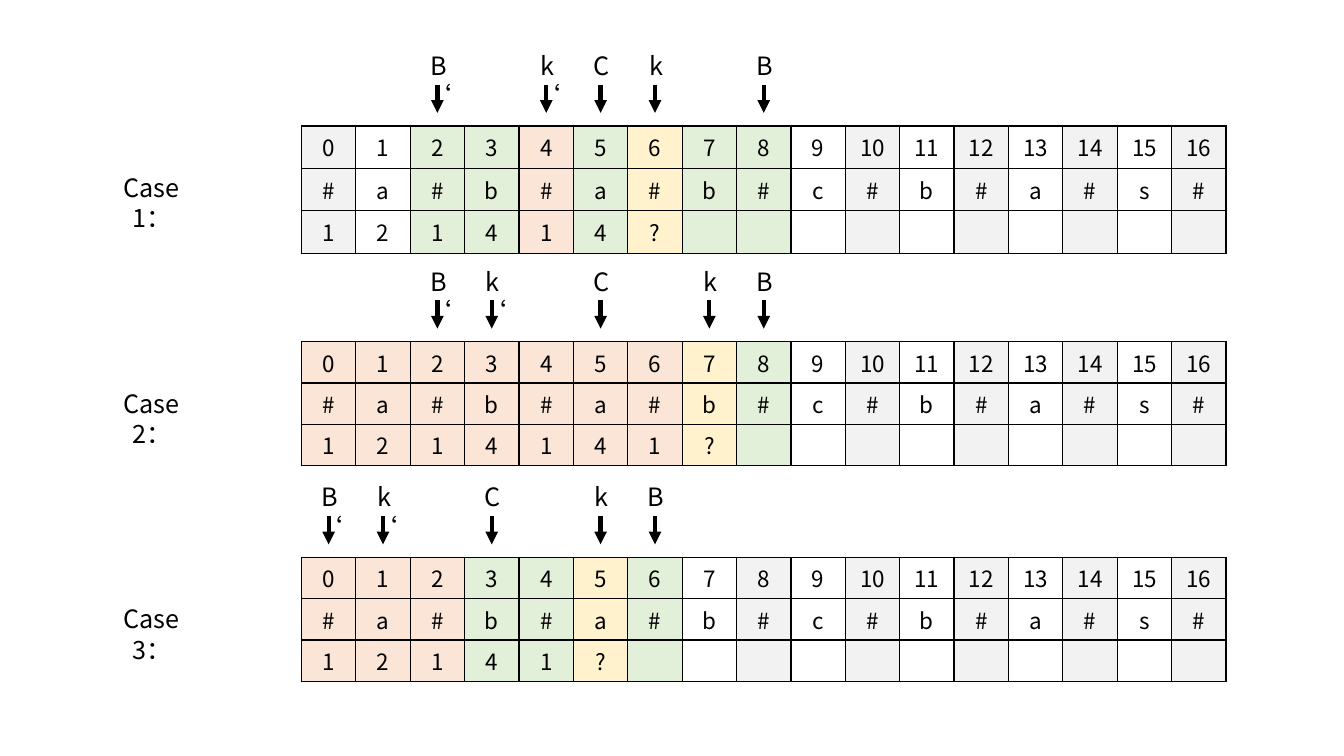
from lxml.etree import SubElement
from pptx import Presentation
from pptx.dml.color import RGBColor
from pptx.enum.shapes import MSO_CONNECTOR
from pptx.enum.text import MSO_ANCHOR, MSO_AUTO_SIZE, PP_ALIGN
from pptx.oxml.ns import qn
from pptx.util import Inches, Pt

FONT = "Noto Sans CJK SC"
BLACK, WHITE, GRAY = "000000", "FFFFFF", "F2F2F2"
FILLS = {"o": "FBE5D6", "g": "E2F0D9", "y": "FFF2CC"}

# Array grid, in inches
COLUMNS, ROWS = 17, 3
GRID_LEFT, GRID_WIDTH = 2.99, 9.17
COLUMN = GRID_WIDTH / COLUMNS
ROW = 0.41
FIRST_TOP, CASE_STEP = 1.25, 2.14
LABEL_WIDTH = 0.43

LETTERS = "#a#b#a#b#c#b#a#s#"
# Radii row, colour key per column ("." is the alternating ground),
# pointer columns and vertical cell margin of each case
CASES = [
    ("121414?", "..ggogygg", {"B‘": 2, "k‘": 4, "C": 5, "k": 6, "B": 8}, 0.05),
    ("1214141?", "oooooooyg", {"B‘": 2, "k‘": 3, "C": 5, "k": 7, "B": 8}, 0.04),
    ("12141?", "oooggyg", {"B‘": 0, "k‘": 1, "C": 3, "k": 5, "B": 6}, 0.04),
]


def color(value):
    """Turn a hex string into a colour."""
    return RGBColor.from_string(value)


def write(frame, text, size=18, fill=BLACK, align=PP_ALIGN.CENTER):
    """Put formatted text into a text frame."""
    paragraph = frame.paragraphs[0]
    paragraph.alignment = align
    run = paragraph.add_run()
    run.text = text
    run.font.size = Pt(size)
    run.font.name = FONT
    run.font.color.rgb = color(fill)
    properties = run.font._element
    properties.set("lang", "zh-CN")
    SubElement(properties, qn("a:ea"), typeface=FONT)


def add_label(slide, text, left, top, width, height=ROW):
    """Add a wrapping, centred text box."""
    frame = slide.shapes.add_textbox(
        Inches(left), Inches(top), Inches(width), Inches(height)).text_frame
    frame.word_wrap = True
    frame.auto_size = MSO_AUTO_SIZE.SHAPE_TO_FIT_TEXT
    write(frame, text)


def add_arrow(slide, x, top, bottom):
    """Add a thick downward arrow."""
    arrow = slide.shapes.add_connector(
        MSO_CONNECTOR.STRAIGHT, Inches(x), Inches(top), Inches(x), Inches(bottom))
    arrow.line.color.rgb = color(BLACK)
    arrow.line.width = Pt(3)
    SubElement(arrow.line._get_or_add_ln(), qn("a:tailEnd"), type="triangle")
    SubElement(arrow._element.spPr, qn("a:effectLst"))


def set_borders(cell, width=1):
    """Draw black lines on all four sides of a cell."""
    properties = cell._tc.get_or_add_tcPr()
    for index, side in enumerate(("lnL", "lnR", "lnT", "lnB")):
        line = properties.makeelement(qn(f"a:{side}"), {"w": str(Pt(width))})
        fill = SubElement(line, qn("a:solidFill"))
        SubElement(fill, qn("a:srgbClr"), val=BLACK)
        properties.insert(index, line)


def add_array(slide, top, radii, keys, margin):
    """Add the table of indices, letters and radii."""
    table = slide.shapes.add_table(
        ROWS, COLUMNS, Inches(GRID_LEFT), Inches(top),
        Inches(GRID_WIDTH), Inches(ROW * ROWS)).table
    table.first_row = table.horz_banding = False
    for column in table.columns:
        column.width = Inches(COLUMN)
    for row, values in zip(table.rows, (range(COLUMNS), LETTERS, radii.ljust(COLUMNS))):
        row.height = Inches(ROW)
        for index, (cell, value) in enumerate(zip(row.cells, values)):
            ground = WHITE if index % 2 else GRAY
            cell.fill.solid()
            cell.fill.fore_color.rgb = color(FILLS.get(keys[index:index + 1], ground))
            cell.vertical_anchor = MSO_ANCHOR.MIDDLE
            cell.margin_top = cell.margin_bottom = Inches(margin)
            set_borders(cell)
            if value != " ":
                write(cell.text_frame, str(value), size=16)


def add_case(slide, number, radii, keys, pointers, margin):
    """Add one case: its array, name and pointers."""
    top = FIRST_TOP + (number - 1) * CASE_STEP
    add_array(slide, top, radii, keys, margin)
    add_label(slide, f"Case {number}：", 1, top + ROW, 1.01)
    for name, column in pointers.items():
        center = GRID_LEFT + (column + 0.5) * COLUMN
        add_label(slide, name, center - LABEL_WIDTH / 2 + 0.01, top - 0.8, LABEL_WIDTH)
        add_arrow(slide, center, top - 0.41, top - 0.13)


def main():
    """Build the slide and save it."""
    presentation = Presentation()
    presentation.slide_width = Inches(13.33)
    presentation.slide_height = Inches(7.5)
    slide = presentation.slides.add_slide(presentation.slide_layouts[6])
    for number, case in enumerate(CASES, 1):
        add_case(slide, number, *case)
    presentation.save("out.pptx")


main()
